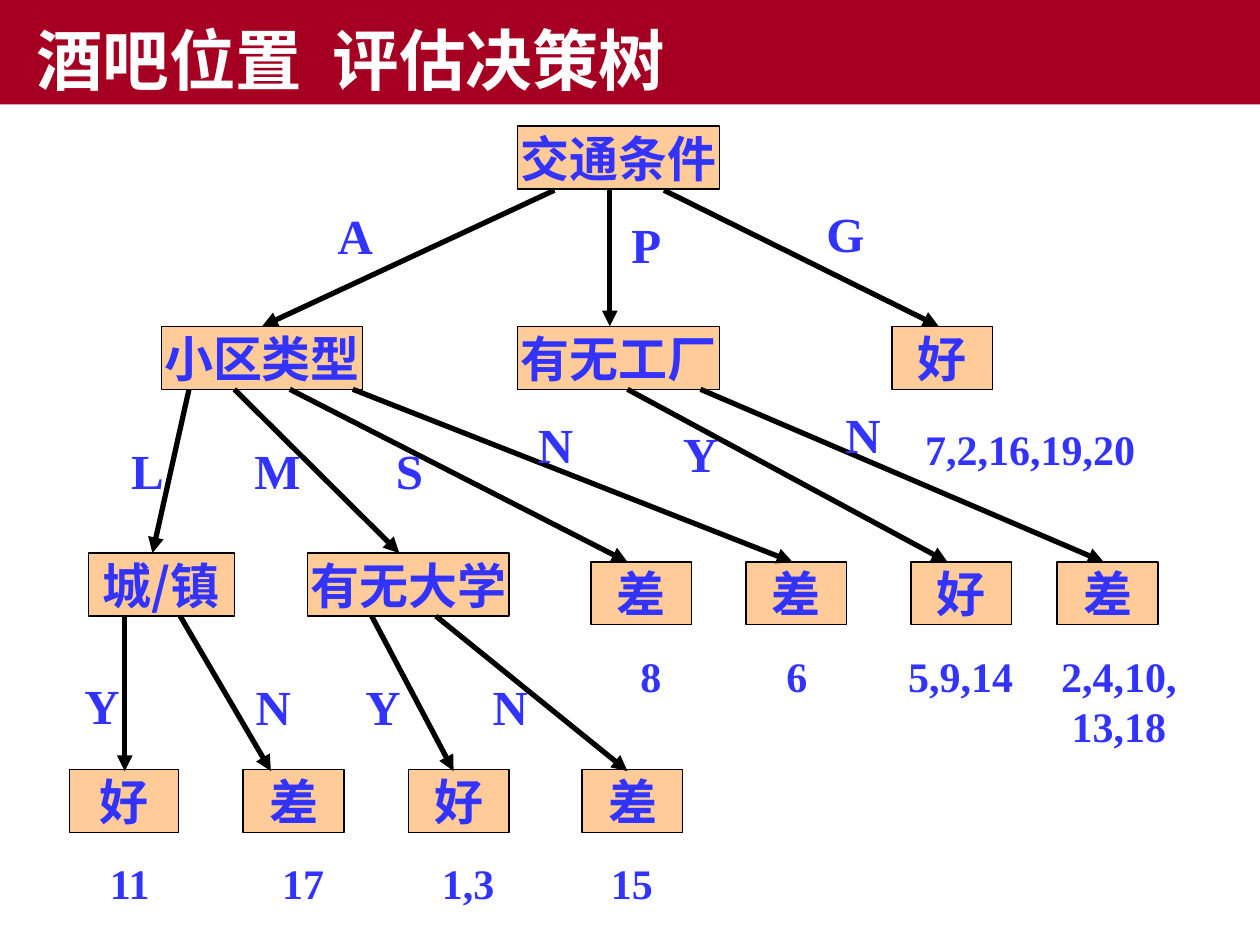
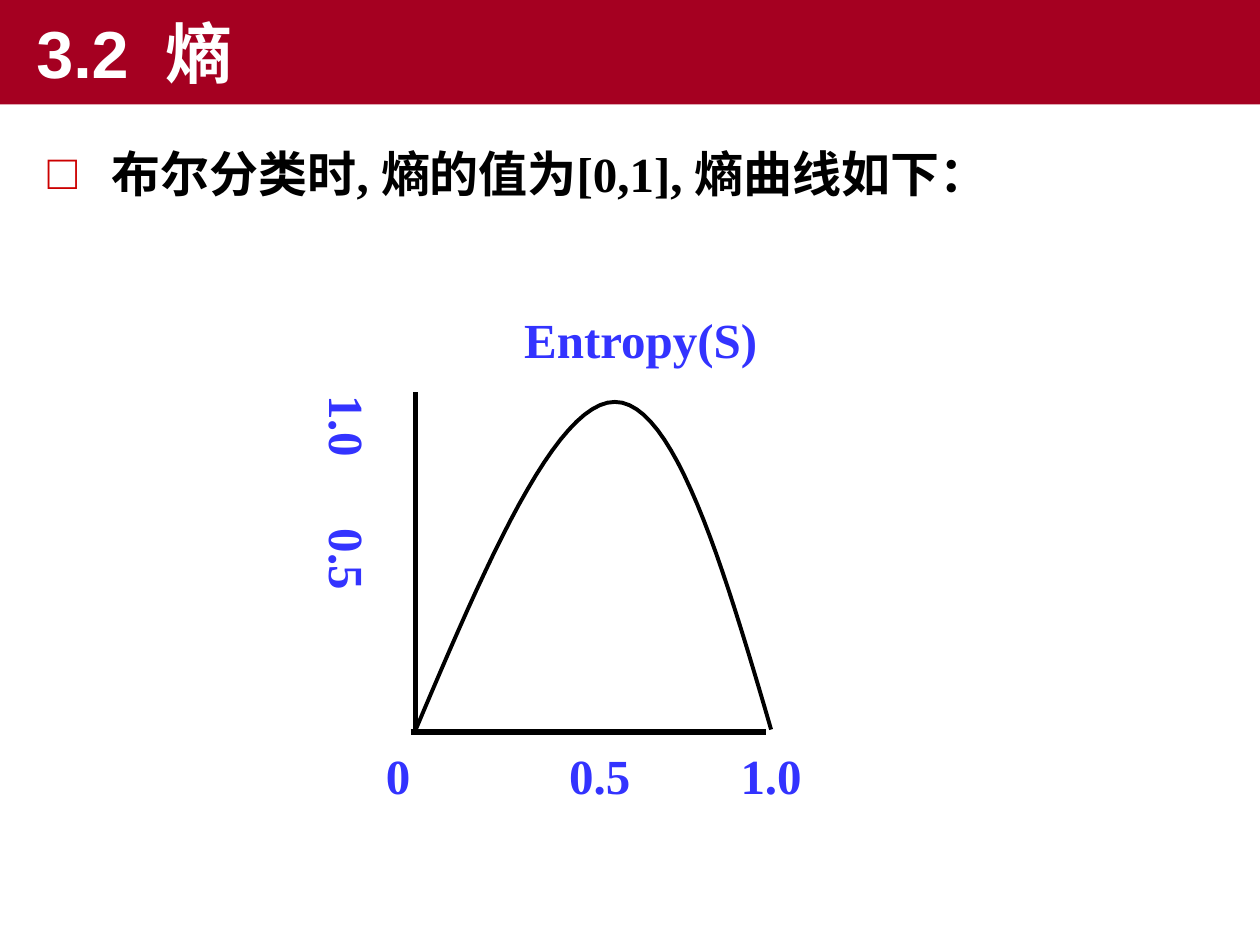
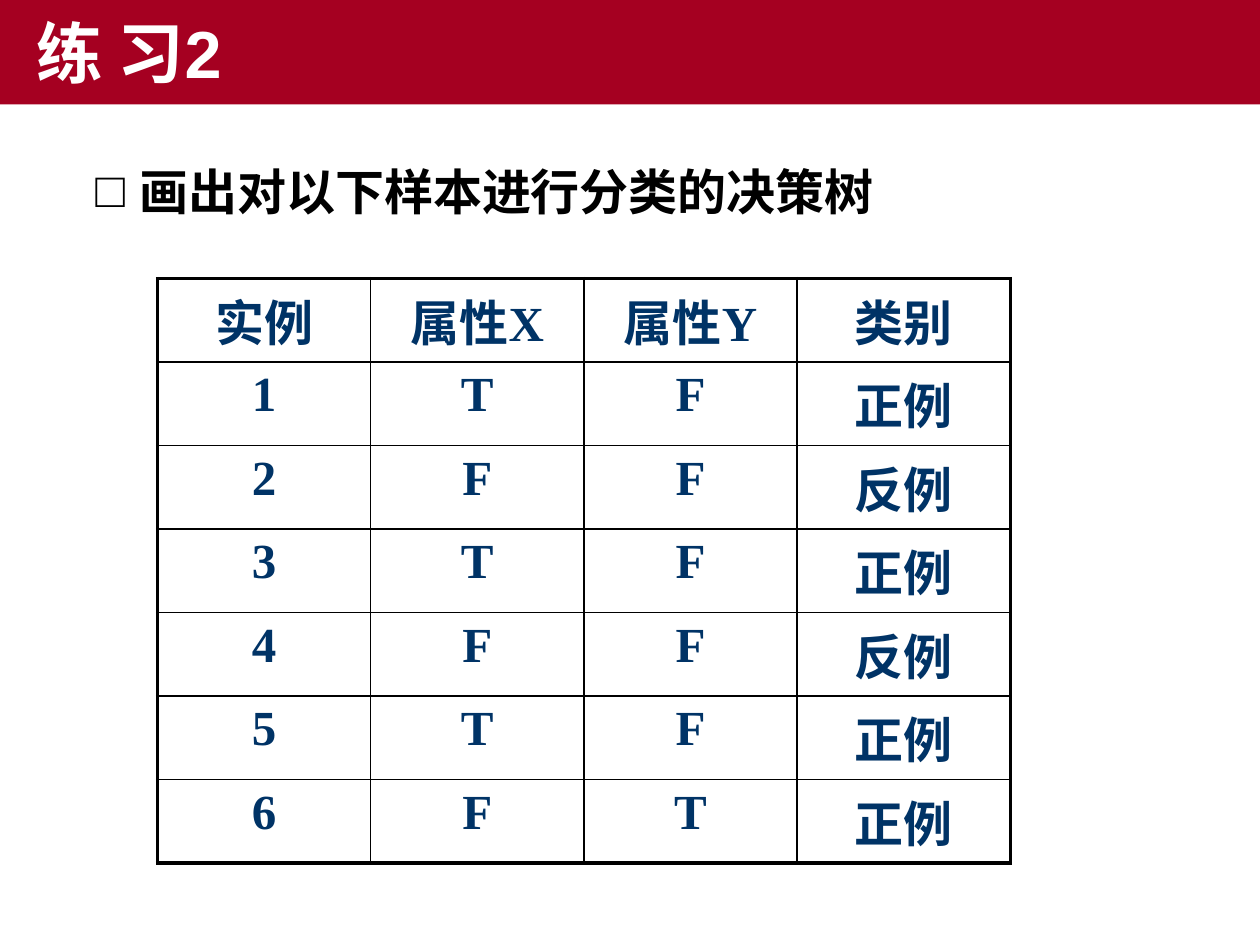
from lxml.etree import SubElement
from pptx import Presentation
from pptx.dml.color import RGBColor
from pptx.enum.shapes import MSO_CONNECTOR as Connector, MSO_SHAPE as Shape
from pptx.enum.text import MSO_ANCHOR as Anchor, PP_ALIGN as Align
from pptx.oxml import parse_xml
from pptx.oxml.ns import nsdecls, qn
from pptx.util import Inches, Pt

BLACK, WHITE, RED = "000000", "FFFFFF", "CC0000"
BAND, NODE, BLUE, NAVY = "A50021", "FFCC99", "3333FF", "003366"
SANS, SERIF, CJK = "Arial", "Times New Roman", "Noto Sans CJK SC"


def color(value):
    return RGBColor.from_string(value)


class Slides:
    def __init__(self):
        self.deck = Presentation()
        self.deck.slide_width = Inches(10)
        self.deck.slide_height = Inches(7.5)
        self.page = None

    def new_page(self, title, anchor=Anchor.MIDDLE):
        self.page = self.deck.slides.add_slide(self.deck.slide_layouts[6])
        band = self.rectangle(0, 0, 10, 0.83, BAND)
        band.text_frame.vertical_anchor = anchor
        para = band.text_frame.paragraphs[0]
        para.alignment = Align.LEFT
        para._p.get_or_add_pPr().set("indent", str(Inches(0.19)))
        self.span(para, title, 38, SANS, WHITE)

    def span(self, para, text, size, font, tint):
        span = para.add_run()
        span.text = text
        span.font.size = Pt(size)
        span.font.bold = True
        span.font.name = font
        span.font.color.rgb = color(tint)
        east = SubElement(span._r.get_or_add_rPr(), qn("a:ea"))
        east.set("typeface", CJK)

    def rectangle(self, left, top, width, height, fill, outline=None):
        box = self.page.shapes.add_shape(
            Shape.RECTANGLE, Inches(left), Inches(top), Inches(width), Inches(height))
        box.shadow.inherit = False
        box.fill.solid()
        box.fill.fore_color.rgb = color(fill)
        if outline:
            box.line.color.rgb = color(outline)
            box.line.width = Pt(0.75)
        else:
            box.line.fill.background()
        return box

    def node(self, left, top, width, text):
        frame = self.rectangle(left, top, width, 0.5, NODE, BLACK).text_frame
        frame.word_wrap = False
        frame.vertical_anchor = Anchor.MIDDLE
        para = frame.paragraphs[0]
        para.alignment = Align.CENTER
        self.span(para, text, 28, CJK, BLUE)

    def text_box(self, left, top, width, height):
        box = self.page.shapes.add_textbox(
            Inches(left), Inches(top), Inches(width), Inches(height))
        box.text_frame.word_wrap = True
        return box.text_frame

    def label(self, left, top, width, text, size=28, height=0.57, vertical=False):
        frame = self.text_box(left, top, width, height)
        if vertical:
            frame._txBody.bodyPr.set("vert", "eaVert")
        para = frame.paragraphs[0]
        para.alignment = Align.CENTER
        self.span(para, text, size, SERIF, BLUE)

    def bullet(self, left, top, width, height, hang, spans, tint=BLACK):
        para = self.text_box(left, top, width, height).paragraphs[0]
        props = para._p.get_or_add_pPr()
        props.set("marL", str(Inches(hang)))
        props.set("indent", str(Inches(-hang)))
        SubElement(SubElement(props, qn("a:buClr")), qn("a:srgbClr")).set("val", tint)
        SubElement(props, qn("a:buFont")).set("typeface", SERIF)
        SubElement(props, qn("a:buChar")).set("char", "□")
        para.line_spacing = 1.2
        for text, font in spans:
            self.span(para, text, 28, font, BLACK)

    def line(self, start, end, arrow=False):
        link = self.page.shapes.add_connector(
            Connector.STRAIGHT, *(Inches(value) for value in (*start, *end)))
        link.line.color.rgb = color(BLACK)
        link.line.width = Pt(3)
        if arrow:
            SubElement(link.line._get_or_add_ln(), qn("a:tailEnd")).set("type", "triangle")
        SubElement(link._element.spPr, qn("a:effectLst"))

    def curve(self, points):
        first, *rest = [(Inches(x), Inches(y)) for x, y in points]
        builder = self.page.shapes.build_freeform(*first)
        builder.add_line_segments(rest, close=False)
        outline = builder.convert_to_shape()
        outline.shadow.inherit = False
        outline.fill.background()
        outline.line.color.rgb = color(BLACK)
        outline.line.width = Pt(2.25)

    def table(self, left, top, width, height, rows):
        count, columns = len(rows), len(rows[0])
        table = self.page.shapes.add_table(
            count, columns, Inches(left), Inches(top), Inches(width), Inches(height)).table
        table.first_row = table.horz_banding = False
        for i, row in enumerate(rows):
            for j, text in enumerate(row):
                cell = table.cell(i, j)
                cell.fill.background()
                outer = {"lnL": j == 0, "lnR": j == columns - 1,
                         "lnT": i == 0, "lnB": i == count - 1}
                self.borders(cell, outer)
                para = cell.text_frame.paragraphs[0]
                para.alignment = Align.CENTER
                self.span(para, text, 28, SERIF, NAVY)

    def borders(self, cell, outer):
        props = cell._tc.get_or_add_tcPr()
        for index, (side, thick) in enumerate(outer.items()):
            width = Pt(2.25 if thick else 1)
            props.insert(index, parse_xml(
                f'<a:{side} {nsdecls("a")} w="{width}"><a:solidFill>'
                f'<a:srgbClr val="{BLACK}"/></a:solidFill></a:{side}>'))


def bezier(start, pull_out, pull_in, end, steps=24):
    points = []
    for step in range(steps + 1):
        t = step / steps
        weights = ((1 - t) ** 3, 3 * t * (1 - t) ** 2, 3 * t ** 2 * (1 - t), t ** 3)
        corners = zip(start, pull_out, pull_in, end)
        points.append(tuple(sum(w * c for w, c in zip(weights, axis)) for axis in corners))
    return points


def decision_tree(slides):
    slides.new_page("酒吧位置  评估决策树", Anchor.BOTTOM)
    levels = [
        (1, [(4.11, 1.6, "交通条件")]),
        (2.59, [(1.28, 1.6, "小区类型"), (4.11, 1.6, "有无工厂"), (7.08, 0.8, "好")]),
        (4.39, [(0.7, 1.16, "城/镇"), (2.44, 1.6, "有无大学")]),
        (4.46, [(4.69, 0.8, "差"), (5.92, 0.8, "差"), (7.23, 0.8, "好"), (8.39, 0.8, "差")]),
        (6.11, [(0.55, 0.87, "好"), (1.93, 0.8, "差"), (3.24, 0.8, "好"), (4.62, 0.8, "差")]),
    ]
    for top, nodes in levels:
        for left, width, text in nodes:
            slides.node(left, top, width, text)

    branches = [
        (1.51, 2.59, [(4.4, 2.08, "A", 2.57, 1.58), (4.84, 4.84, "P", 4.88, 1.65),
                      (5.27, 7.45, "G", 6.46, 1.57)]),
        (3.09, 4.39, [(1.5, 1.21, "L", 0.92, 3.45), (1.86, 3.17, "M", 1.92, 3.45)]),
        (3.09, 4.46, [(2.3, 4.98, "S", 3, 3.45), (2.8, 6.29, "N", 4.16, 3.24),
                      (4.98, 7.52, "Y", 5.31, 3.31), (5.56, 8.76, "N", 6.6, 3.16)]),
        (4.89, 6.12, [(0.99, 0.99, "Y", 0.56, 5.31), (1.43, 2.15, "N", 1.92, 5.32),
                      (2.95, 3.6, "Y", 2.79, 5.32), (3.46, 4.98, "N", 3.8, 5.32)]),
    ]
    for start, end, arrows in branches:
        for x_start, x_end, text, left, top in arrows:
            slides.line((x_start, start), (x_end, end), arrow=True)
            slides.label(left, top, 0.5, text)

    samples = [
        (6.76, 0.5, [(0.7, 0.66, "11"), (2.08, 0.65, "17"),
                     (3.39, 0.65, "1,3"), (4.69, 0.65, "15")]),
        (5.11, 0.5, [(4.91, 0.51, "8"), (6.07, 0.51, "6"), (7.01, 1.23, "5,9,14")]),
        (5.11, 0.91, [(8.32, 1.12, "2,4,10,13,18")]),
        (3.31, 0.5, [(7.23, 1.89, "7,2,16,19,20")]),
    ]
    for top, height, leaves in samples:
        for left, width, text in leaves:
            slides.label(left, top, width, text, 24, height)


def entropy_curve(slides):
    slides.new_page("3.2  熵")
    slides.bullet(0.28, 1, 9.45, 5.91, 0.51,
                  [("布尔分类时, 熵的值为[0,1], 熵曲线如下", SERIF), ("：", SANS)], RED)
    slides.line((3.26, 5.81), (6.08, 5.81))
    slides.line((3.3, 5.79), (3.3, 3.11))
    peak = (4.88, 3.19)
    rise = bezier((3.3, 5.79), (3.85, 4.49), (4.41, 3.19), peak)
    fall = bezier(peak, (5.35, 3.19), (5.74, 4.49), (6.12, 5.79))
    slides.curve(rise + fall[1:])
    for center, text in ((3.16, "0"), (4.76, "0.5"), (6.12, "1.0")):
        slides.label(center - 0.4, 5.87, 0.8, text)
    for center, text in ((3.44, "1.0"), (4.5, "0.5")):
        slides.label(2.38, center - 0.4, 0.67, text, height=0.8, vertical=True)
    slides.label(3.96, 2.41, 2.25, "Entropy(S)")


def exercise(slides):
    slides.new_page("练 习2")
    slides.bullet(0.66, 1.14, 8.8, 0.73, 0.35, [("画出对以下样本进行分类的决策树", SANS)])
    slides.table(1.25, 2.21, 6.77, 4.64, [
        ("实例", "属性X", "属性Y", "类别"),
        ("1", "T", "F", "正例"),
        ("2", "F", "F", "反例"),
        ("3", "T", "F", "正例"),
        ("4", "F", "F", "反例"),
        ("5", "T", "F", "正例"),
        ("6", "F", "T", "正例"),
    ])


def main():
    slides = Slides()
    decision_tree(slides)
    entropy_curve(slides)
    exercise(slides)
    slides.deck.save("out.pptx")


if __name__ == "__main__":
    main()
